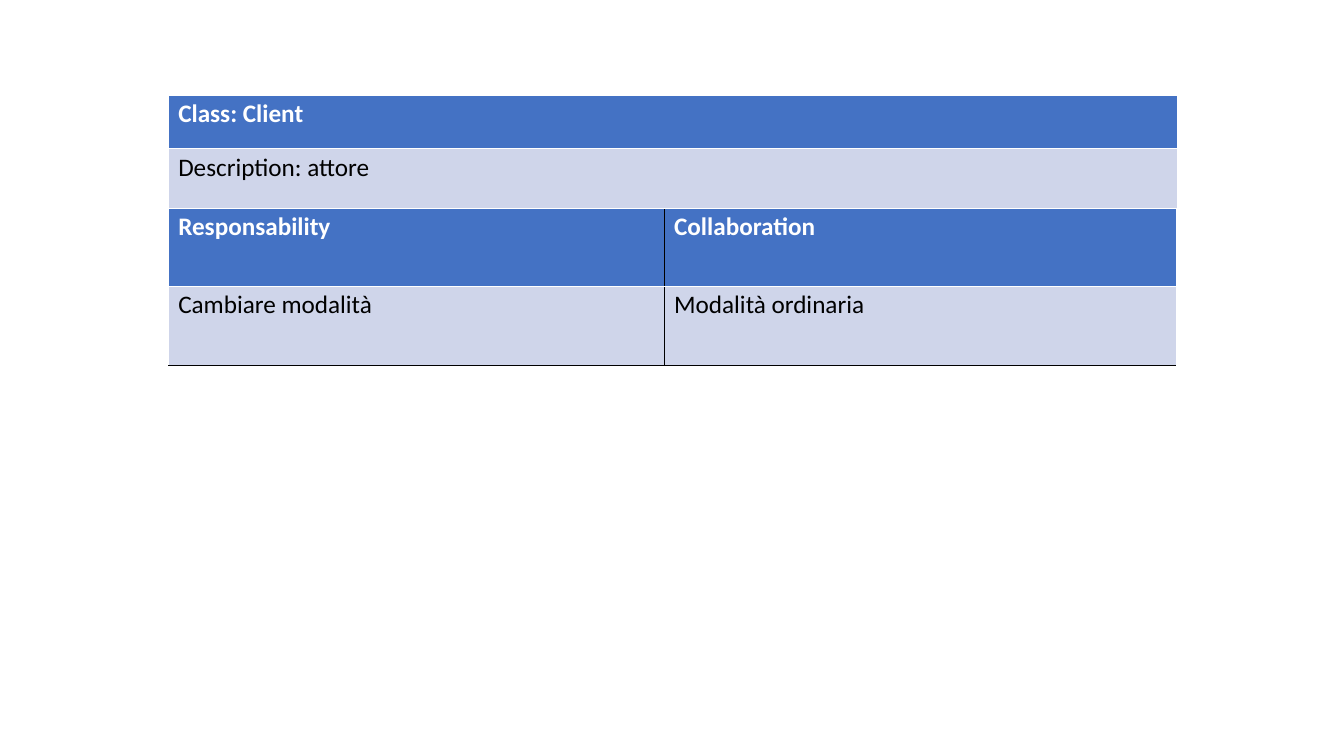
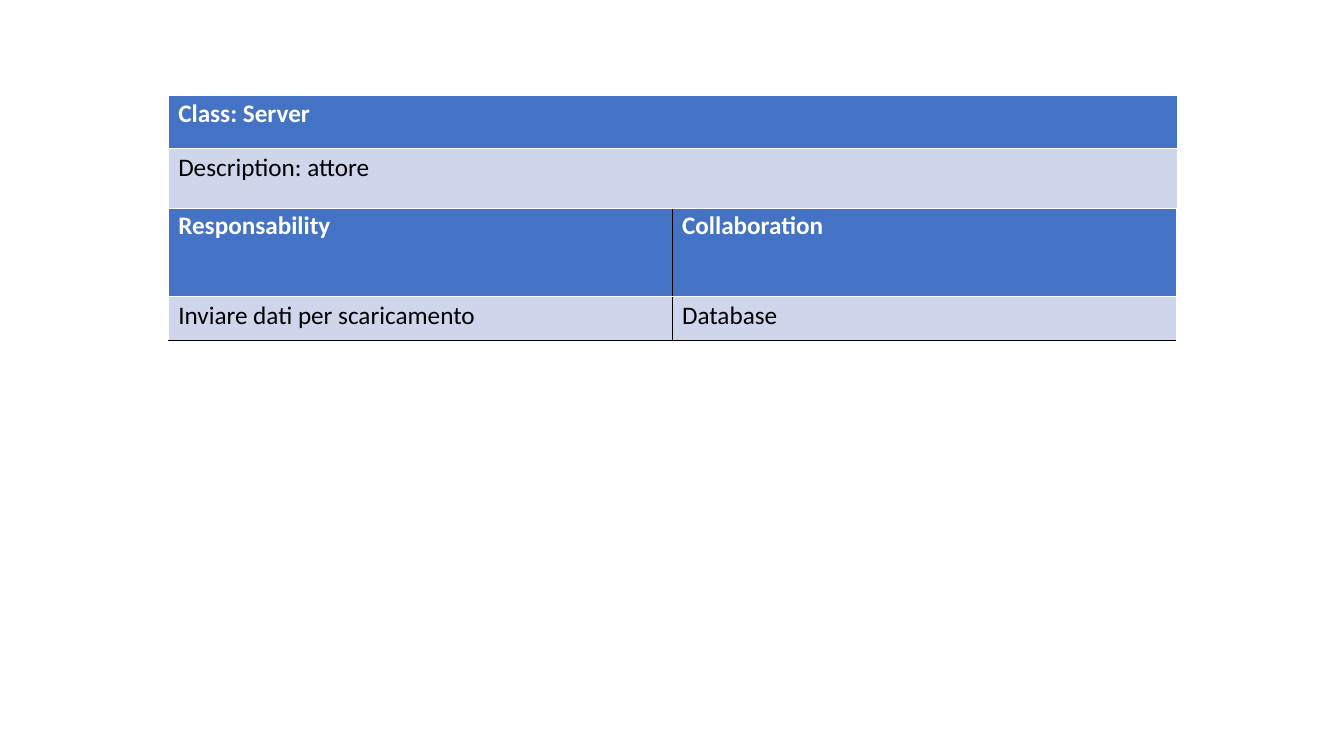
from dataclasses import dataclass

from lxml.etree import SubElement
from pptx import Presentation
from pptx.dml.color import RGBColor as Color
from pptx.oxml.ns import qn
from pptx.slide import Slide
from pptx.table import _Cell as Cell
from pptx.util import Cm, Pt


@dataclass(frozen=True)
class Theme:
    font: str = "Calibri"
    text_size: float = 18
    line_spacing: float = 0.92
    border_width: float = 0.06
    header_fill: str = "4472C4"
    body_fill: str = "CFD5EA"
    white: str = "FFFFFF"
    black: str = "000000"


@dataclass(frozen=True)
class Grid:
    """One header row over one body row; lengths in centimetres."""
    top: float
    columns: tuple[float, ...]
    rows: tuple[float, float]
    header: tuple[str, ...]
    body: tuple[str, ...]
    bottom_color: str


@dataclass(frozen=True)
class ClassCard:
    name: str
    description: str
    responsibility: str
    collaboration: str
    columns: tuple[float, float]
    rows: tuple[float, float]
    duties_top: float


THEME = Theme()
SLIDE_WIDTH, SLIDE_HEIGHT = 33.88, 19.05
TABLE_LEFT, TITLE_TOP, TITLE_WIDTH = 4.24, 2.39, 25.42
TITLE_ROWS = (1.35, 1.5)

CARDS = (
    ClassCard("Client", "attore", "Cambiare modalità", "Modalità ordinaria",
              (12.5, 12.9), (1.98, 1.98), 5.23),
    ClassCard("Server", "attore", "Inviare dati per scaricamento", "Database",
              (12.7, 12.7), (2.26, 1.09), 5.21),
)


def set_borders(cell: Cell, left: str, right: str, top: str, bottom: str) -> None:
    """Draw the four cell borders, which must precede the fill in the XML."""
    properties = cell._tc.get_or_add_tcPr()
    sides = zip(("L", "R", "T", "B"), (left, right, top, bottom))
    for position, (side, color) in enumerate(sides):
        line = SubElement(properties, qn(f"a:ln{side}"), w=str(int(Pt(THEME.border_width))))
        fill = SubElement(line, qn("a:solidFill"))
        SubElement(fill, qn("a:srgbClr"), val=color)
        properties.insert(position, line)


def write_cell(cell: Cell, text: str, is_header: bool) -> None:
    """Fill a cell and set its text as header or body."""
    cell.fill.solid()
    cell.fill.fore_color.rgb = Color.from_string(
        THEME.header_fill if is_header else THEME.body_fill)
    cell.text_frame.text = text
    paragraph = cell.text_frame.paragraphs[0]
    paragraph.line_spacing = THEME.line_spacing
    font = paragraph.runs[0].font
    font.name, font.size, font.bold = THEME.font, Pt(THEME.text_size), is_header
    font.color.rgb = Color.from_string(THEME.white if is_header else THEME.black)


def add_grid(slide: Slide, grid: Grid) -> None:
    """Add a two-row table with black lines between its columns."""
    shape = slide.shapes.add_table(
        len(grid.rows), len(grid.columns), Cm(TABLE_LEFT), Cm(grid.top),
        Cm(sum(grid.columns)), Cm(sum(grid.rows)))
    table = shape.table
    table.first_row = table.horz_banding = False
    for column, width in zip(table.columns, grid.columns):
        column.width = Cm(width)
    for row, height in zip(table.rows, grid.rows):
        row.height = Cm(height)

    last_column = len(grid.columns) - 1
    for row_index, texts in enumerate((grid.header, grid.body)):
        is_header = row_index == 0
        for column_index, text in enumerate(texts):
            cell = table.cell(row_index, column_index)
            write_cell(cell, text, is_header)
            set_borders(
                cell,
                left=THEME.black if column_index > 0 else THEME.white,
                right=THEME.black if column_index < last_column else THEME.white,
                top=THEME.white,
                bottom=THEME.white if is_header else grid.bottom_color)


def add_card(slide: Slide, card: ClassCard) -> None:
    """Add the duties table and the title table above it."""
    add_grid(slide, Grid(
        card.duties_top, card.columns, card.rows,
        ("Responsability", "Collaboration"),
        (card.responsibility, card.collaboration), THEME.black))
    add_grid(slide, Grid(
        TITLE_TOP, (TITLE_WIDTH,), TITLE_ROWS,
        (f"Class: {card.name}",),
        (f"Description: {card.description}",), THEME.white))


def main() -> None:
    presentation = Presentation()
    presentation.slide_width = Cm(SLIDE_WIDTH)
    presentation.slide_height = Cm(SLIDE_HEIGHT)
    blank_layout = presentation.slide_layouts[6]
    # One slide per class card
    for card in CARDS:
        add_card(presentation.slides.add_slide(blank_layout), card)
    presentation.save("out.pptx")


if __name__ == "__main__":
    main()
